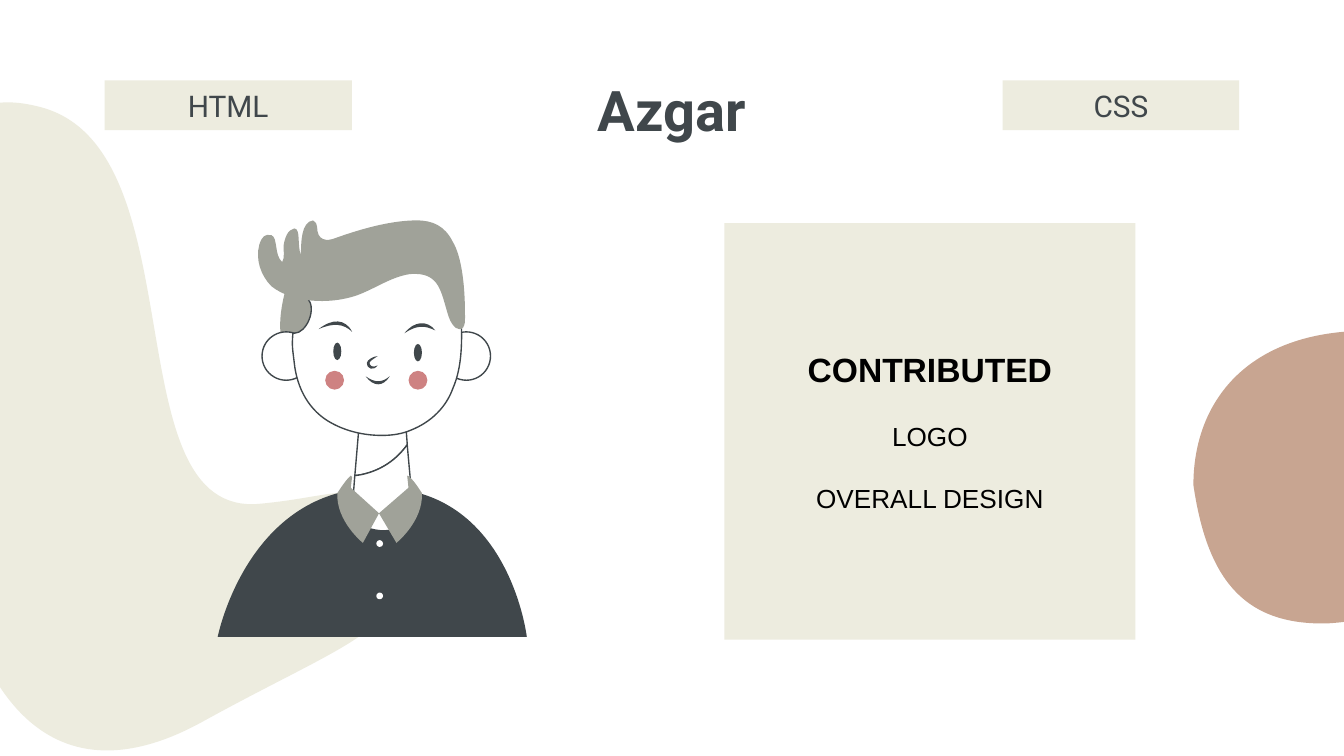
from lxml import etree
from pptx import Presentation
from pptx import util as u
from pptx.dml.color import RGBColor
from pptx.enum import shapes, text
from pptx.oxml import ns

CREAM = RGBColor(0xED, 0xEC, 0xDF)
SLATE = RGBColor(0x40, 0x47, 0x4B)
GREY = RGBColor(0xA0, 0xA2, 0x99)
ROSE = RGBColor(0xCE, 0x82, 0x82)
TAN = RGBColor(0xC8, 0xA5, 0x91)
WHITE = RGBColor(0xFF, 0xFF, 0xFF)
BLACK = RGBColor(0, 0, 0)
UNIT = u.Cm(2.54)  # one unit of the artwork grid

deck = Presentation()
deck.slide_width, deck.slide_height = u.Cm(25.4), u.Cm(14.29)
slide = deck.slides.add_slide(deck.slide_layouts[6])
tree = slide.shapes


def outline(route):
    """Build a closed freeform from points (2 numbers) and cubic curves (6 numbers)."""
    spots = [(seg[i] * UNIT, seg[i + 1] * UNIT) for seg in route for i in range(0, len(seg), 2)]
    pen = tree.build_freeform(*spots[0])
    pen.add_line_segments(spots[1:], close=True)
    part = pen.convert_to_shape()
    lines = iter(list(part.element.iter(ns.qn("a:lnTo"))))
    for seg in route[1:]:
        line = next(lines)
        if len(seg) == 6:
            curve = etree.Element(ns.qn("a:cubicBezTo"))
            line.addprevious(curve)
            for old in (line, next(lines), next(lines)):
                curve.append(old[0])
                old.getparent().remove(old)
    return part


def draw(fill, route, line=False):
    """Draw a closed outline, or an oval if route is one (left, top, width, height)."""
    if len(route) == 1:
        part = tree.add_shape(shapes.MSO_SHAPE.OVAL, *(int(v * UNIT) for v in route[0]))
    else:
        part = outline(route)
    part.shadow.inherit = False
    part.fill.solid()
    part.fill.fore_color.rgb = fill
    if line:
        part.line.color.rgb = SLATE
        part.line.width = u.Pt(0.75)
    else:
        part.line.fill.background()


# Background blobs
draw(CREAM, [(2.97, 4.29), (2.97, 4.21, 2.95, 4.12, 2.91, 4.02),
             (2.73, 3.5, 2.59, 3.69, 1.93, 3.75), (0.83, 3.85, 1.48, 1.12, 0.31, 0.8),
             (-0.32, 0.63, -0.53, 1.03, -0.53, 2.12), (-0.53, 2.44, -0.51, 2.83, -0.48, 3.27),
             (-0.34, 5.23, 0.37, 6, 1.51, 5.37), (2.47, 4.84, 2.97, 4.7, 2.97, 4.29)])
draw(TAN, [(10.24, 2.46), (10.16, 2.46, 10.08, 2.46, 9.99, 2.47),
           (9.23, 2.54, 8.88, 3.03, 8.88, 3.61), (8.98, 4.29, 9.24, 4.64, 9.84, 4.64),
           (9.91, 4.64, 9.99, 4.63, 10.07, 4.62), (10.81, 4.53, 11.35, 4.18, 11.2, 3.23),
           (11.11, 2.68, 10.82, 2.46, 10.24, 2.46)])

# Jumper and buttons
draw(SLATE, [(2.82, 3.63), (1.84, 3.63, 1.62, 4.74, 1.62, 4.74), (3.92, 4.74),
             (3.92, 4.74, 3.79, 3.63, 2.82, 3.63)])
for top in (4.02, 4.41):
    draw(WHITE, [(2.8, top, 0.05, 0.05)])

# Sideburn, ears, neck and face
draw(GREY, [(2.13, 2.14), (2.13, 2.14, 2, 2.54, 2.18, 2.68), (2.2, 2.69, 2.21, 2.7, 2.23, 2.7),
            (2.35, 2.7, 2.34, 2.19, 2.34, 2.19)])
for left in (1.95, 3.29):
    draw(WHITE, [(left, 2.47, 0.36, 0.36)], line=True)
draw(WHITE, [(3, 2.91), (2.69, 2.95), (2.64, 3.54), (2.74, 3.53, 2.91, 3.48, 3.03, 3.31)],
     line=True)
draw(WHITE, [(2.87, 1.72), (2.87, 1.72, 2.48, 1.74, 2.29, 2.22),
             (2.36, 2.3, 2.28, 2.48, 2.19, 2.48), (2.18, 2.48),
             (2.17, 2.58, 2.18, 2.61, 2.19, 2.7), (2.21, 2.89, 2.3, 3.06, 2.47, 3.15),
             (2.58, 3.21, 2.71, 3.24, 2.84, 3.24), (2.92, 3.24, 2.99, 3.23, 3.06, 3.2),
             (3.21, 3.14, 3.32, 3.03, 3.37, 2.89), (3.44, 2.73, 3.44, 2.53, 3.43, 2.35),
             (3.4, 1.73, 2.9, 1.72, 2.87, 1.72)], line=True)
draw(WHITE, [(3.03, 3.31), (2.91, 3.48, 2.74, 3.53, 2.64, 3.54), (2.62, 3.8),
             (2.62, 3.8, 2.62, 3.93, 2.83, 3.95), (2.85, 3.95, 2.86, 3.95, 2.87, 3.95),
             (3.05, 3.95, 3.07, 3.76, 3.07, 3.76)], line=True)

# Eyes, nose, mouth and cheeks
for left, top in ((2.48, 2.55), (3.08, 2.56)):
    draw(SLATE, [(left, top, 0.06, 0.13)])
draw(SLATE, [(2.81, 2.65), (2.78, 2.65, 2.73, 2.68, 2.73, 2.7),
             (2.73, 2.75, 2.78, 2.76, 2.81, 2.72), (2.77, 2.74, 2.75, 2.72, 2.75, 2.7),
             (2.75, 2.69, 2.78, 2.67, 2.81, 2.65)])
draw(SLATE, [(2.72, 2.8), (2.78, 2.88, 2.85, 2.88, 2.9, 2.8), (2.84, 2.85, 2.79, 2.85, 2.72, 2.8)])
for left in (2.42, 3.04):
    draw(ROSE, [(left, 2.76, 0.14, 0.14)])

# Hair and brows
draw(GREY, [(3.1, 1.64), (2.9, 1.64, 2.67, 1.71, 2.5, 1.77),
            (2.43, 1.8, 2.36, 1.79, 2.36, 1.69), (2.36, 1.67, 2.35, 1.65, 2.33, 1.64),
            (2.24, 1.65, 2.24, 1.81, 2.24, 1.9), (2.21, 1.83, 2.24, 1.7, 2.19, 1.7),
            (2.14, 1.71, 2.12, 1.77, 2.11, 1.83), (2.11, 1.86, 2.12, 1.92, 2.1, 1.95),
            (2.04, 1.9, 2.07, 1.77, 2.02, 1.75), (1.97, 1.74, 1.95, 1.76, 1.93, 1.82),
            (1.9, 1.93, 1.94, 2.05, 2.02, 2.13), (2.17, 2.25, 2.44, 2.27, 2.65, 2.2),
            (2.79, 2.15, 2.91, 2.06, 3.05, 2.04), (3.28, 2.02, 3.28, 2.18, 3.34, 2.36),
            (3.35, 2.39, 3.38, 2.45, 3.42, 2.45), (3.47, 2.45, 3.46, 2.36, 3.46, 2.33),
            (3.46, 2.1, 3.43, 1.9, 3.37, 1.8), (3.31, 1.68, 3.22, 1.64, 3.1, 1.64)])
draw(SLATE, [(3.01, 2.48), (3.08, 2.39, 3.18, 2.38, 3.24, 2.46), (3.16, 2.42, 3.1, 2.42, 3.01, 2.48)])
draw(SLATE, [(2.37, 2.45), (2.47, 2.37, 2.57, 2.37, 2.62, 2.47), (2.56, 2.41, 2.48, 2.4, 2.37, 2.45)])

# Collar
draw(GREY, [(2.61, 3.54), (2.61, 3.54, 2.58, 3.56, 2.51, 3.67),
            (2.5, 3.88, 2.7, 4.04, 2.7, 4.04), (2.82, 3.82), (2.61, 3.63), (2.62, 3.55)])
draw(GREY, [(3.03, 3.54), (3.04, 3.63), (2.82, 3.82), (2.95, 4.04),
            (2.95, 4.04, 3.15, 3.88, 3.14, 3.67), (3.07, 3.56, 3.04, 3.54, 3.03, 3.54)])

# Title, card and tags: fill, place, anchor, then (words, size, font, colour, bold)
MID, LOW = text.MSO_ANCHOR.MIDDLE, text.MSO_ANCHOR.BOTTOM
boxes = [
    (None, (1.98, 1.45, 21.44, 1.5), LOW, [("Azgar", 30, "Roboto", SLATE, True)]),
    (CREAM, (13.69, 4.22, 7.77, 7.87), MID, [
        ("CONTRIBUTED", 18, "Arial", BLACK, True),
        ("LOGO", 14, "Arial", BLACK, False),
        ("OVERALL DESIGN", 14, "Arial", BLACK, False)]),
    (CREAM, (1.98, 1.52, 4.67, 0.94), MID, [("HTML", 16, "Roboto", SLATE, False)]),
    (CREAM, (18.95, 1.52, 4.47, 0.94), MID, [("CSS", 16, "Roboto", SLATE, False)]),
]
for fill, place, anchor, lines in boxes:
    place = [u.Cm(v) for v in place]
    if fill is None:
        box = tree.add_textbox(*place)
    else:
        box = tree.add_shape(shapes.MSO_SHAPE.RECTANGLE, *place)
        box.shadow.inherit = False
        box.fill.solid()
        box.fill.fore_color.rgb = fill
        box.line.fill.background()
    frame = box.text_frame
    frame.word_wrap = True
    frame.vertical_anchor = anchor
    frame.margin_left = frame.margin_right = u.Cm(0.25)
    frame.margin_top = frame.margin_bottom = u.Cm(0.25)
    for i, (words, size, face, tint, bold) in enumerate(lines):
        para = frame.add_paragraph() if i else frame.paragraphs[0]
        para.alignment = text.PP_ALIGN.CENTER
        para.space_before = u.Cm(0.58 if i else 0)
        run = para.add_run()
        run.text = words
        run.font.size, run.font.name, run.font.bold = u.Pt(size), face, bold
        run.font.color.rgb = tint

deck.save("out.pptx")
